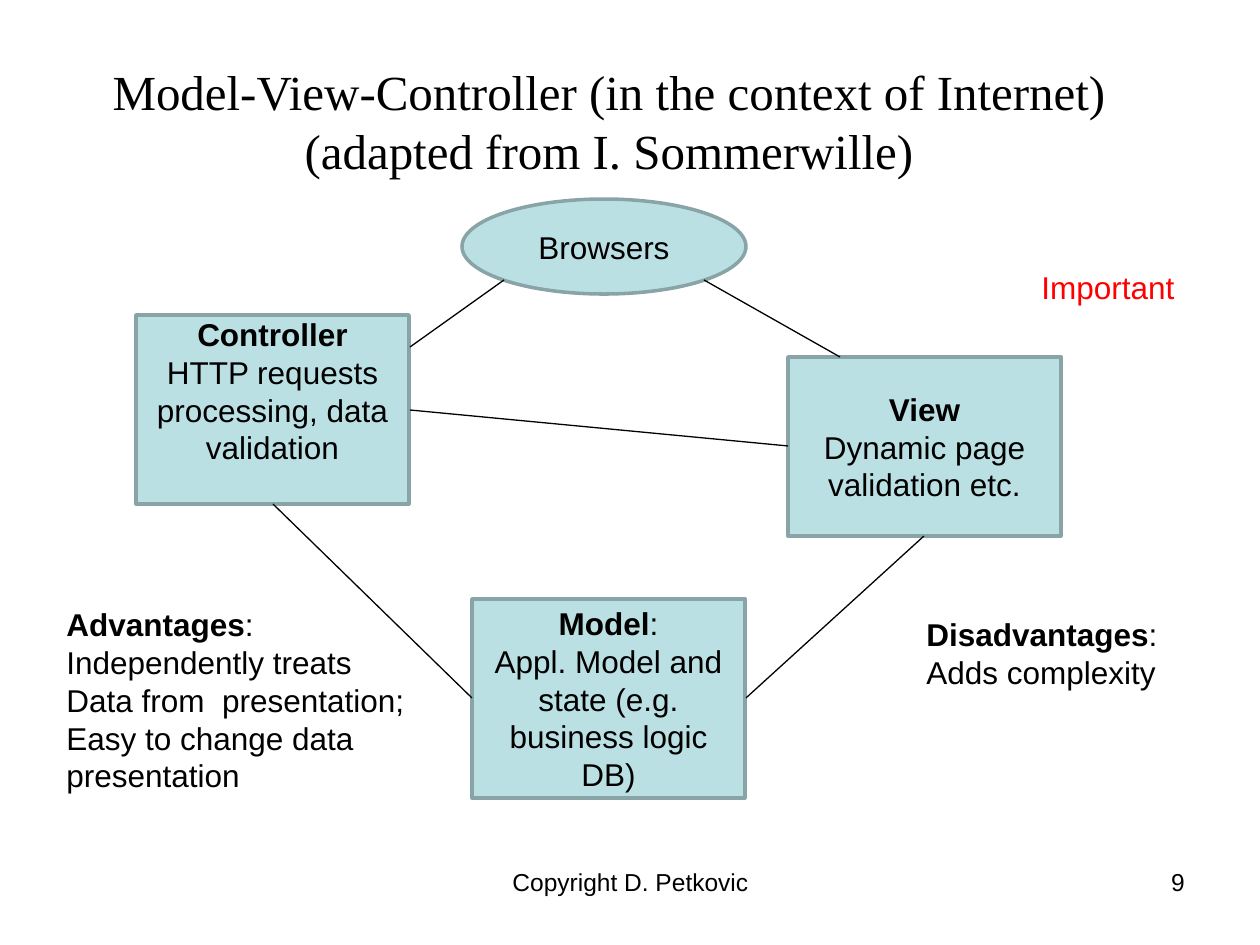
"""Build the Model-View-Controller slide."""
from dataclasses import dataclass

import pptx
import pptx.dml.color
import pptx.enum.shapes
import pptx.enum.text
import pptx.oxml
import pptx.oxml.ns
import pptx.util

PX_PER_INCH = 126
BLACK, RED, FILL, OUTLINE = "000000", "FF0000", "BBE0E3", "89A4A7"
SHAPE = pptx.enum.shapes.MSO_SHAPE
ALIGN = pptx.enum.text.PP_ALIGN
ANCHOR = pptx.enum.text.MSO_ANCHOR


@dataclass
class Node:
    """A filled component of the diagram."""
    bounds: tuple[int, int, int, int]
    lines: list[str]
    heading: str = ""
    shape: int = SHAPE.RECTANGLE
    anchor: int = ANCHOR.MIDDLE


@dataclass
class Note:
    """A free-standing piece of text."""
    bounds: tuple[int, int, int, int]
    lines: list[str]
    heading: str = ""
    size: int = 18
    color: str = BLACK
    align: int = ALIGN.LEFT
    wrap: bool = False


NODES = [
    Node((136, 315, 273, 189),
         ["Controller", "HTTP requests processing, data validation"],
         "Controller", anchor=ANCHOR.TOP),
    Node((472, 599, 273, 199),
         ["Model:", "Appl. Model and state (e.g. business logic DB)"], "Model"),
    Node((788, 357, 273, 179), ["View", "Dynamic page validation etc."], "View"),
    Node((462, 199, 284, 95), ["Browsers"], shape=SHAPE.OVAL),
]

LINKS = [
    (504, 280, 410, 347),
    (704, 280, 840, 357),
    (410, 410, 788, 446),
    (273, 504, 472, 698),
    (924, 536, 746, 698),
]

NOTES = [
    Note((54, 599, 363, 202),
         ["Advantages:", "Independently treats", "Data from  presentation;",
          "Easy to change data", "presentation"], "Advantages"),
    Note((914, 609, 256, 88), ["Disadvantages:", "Adds complexity"],
         "Disadvantages"),
    Note((1029, 262, 158, 50), ["Important"], color=RED),
    Note((903, 861, 294, 66), ["9"], size=14, align=ALIGN.RIGHT, wrap=True),
    Note((431, 861, 399, 66), ["Copyright D. Petkovic"], size=14,
         align=ALIGN.CENTER, wrap=True),
]


def px(*lengths: int) -> list[int]:
    """Turn pixel lengths into EMU."""
    return [pptx.util.Inches(length / PX_PER_INCH) for length in lengths]


def rgb(color: str) -> pptx.dml.color.RGBColor:
    """Turn a hex string into a colour."""
    return pptx.dml.color.RGBColor.from_string(color)


def write(frame, lines: list[str], heading: str = "", size: int = 18,
          color: str = BLACK, align: int = ALIGN.CENTER,
          font: str = "Arial") -> None:
    """Write one paragraph a line, with the heading at the start in bold."""
    frame.text = "\n".join(lines)
    first = frame.paragraphs[0]
    if heading:
        first.text = heading
        first.runs[0].font.bold = True
        rest = lines[0].removeprefix(heading)
        if rest:
            first.add_run().text = rest
    for para in frame.paragraphs:
        para.alignment = align
        for span in para.runs:
            span.font.name = font
            span.font.size = pptx.util.Pt(size)
            span.font.color.rgb = rgb(color)


def draw_title(page, text: str) -> None:
    """Place and fill the title placeholder."""
    title = page.shapes.title
    title.left, title.top, title.width, title.height = px(42, 42, 1134, 157)
    frame = title.text_frame
    frame.auto_size = pptx.enum.text.MSO_AUTO_SIZE.NONE
    frame.vertical_anchor = ANCHOR.MIDDLE
    write(frame, [text], size=28, font="Times New Roman")


def draw_node(page, node: Node) -> None:
    """Draw a component with its centred text."""
    box = page.shapes.add_shape(node.shape, *px(*node.bounds))
    box.shadow.inherit = False
    box.fill.solid()
    box.fill.fore_color.rgb = rgb(FILL)
    box.line.color.rgb = rgb(OUTLINE)
    box.line.width = pptx.util.Pt(2)
    frame = box.text_frame
    frame.word_wrap = True
    frame.vertical_anchor = node.anchor
    if node.anchor == ANCHOR.TOP:
        frame.margin_top = 0
    write(frame, node.lines, node.heading)


def draw_link(page, ends: tuple[int, int, int, int]) -> None:
    """Draw a thin straight line between two components."""
    link = page.shapes.add_connector(
        pptx.enum.shapes.MSO_CONNECTOR.STRAIGHT, *px(*ends))
    link.line.color.rgb = rgb(BLACK)
    link.line.width = pptx.util.Pt(0.75)
    properties = link._element.spPr
    properties.append(pptx.oxml.parse_xml(
        f"<a:effectLst {pptx.oxml.ns.nsdecls('a')}/>"))


def draw_note(page, note: Note) -> None:
    """Draw a text box."""
    box = page.shapes.add_textbox(*px(*note.bounds))
    box.text_frame.word_wrap = note.wrap
    write(box.text_frame, note.lines, note.heading, note.size, note.color,
          note.align)


def main() -> None:
    """Build and save the deck."""
    deck = pptx.Presentation()
    deck.slide_width, deck.slide_height = px(1260, 945)
    page = deck.slides.add_slide(deck.slide_layouts.get_by_name("Title Only"))
    draw_title(page, "Model-View-Controller (in the context of Internet) "
                     "(adapted from I. Sommerwille)")
    for node in NODES:
        draw_node(page, node)
    for ends in LINKS:
        draw_link(page, ends)
    for note in NOTES:
        draw_note(page, note)
    deck.save("out.pptx")


if __name__ == "__main__":
    main()
